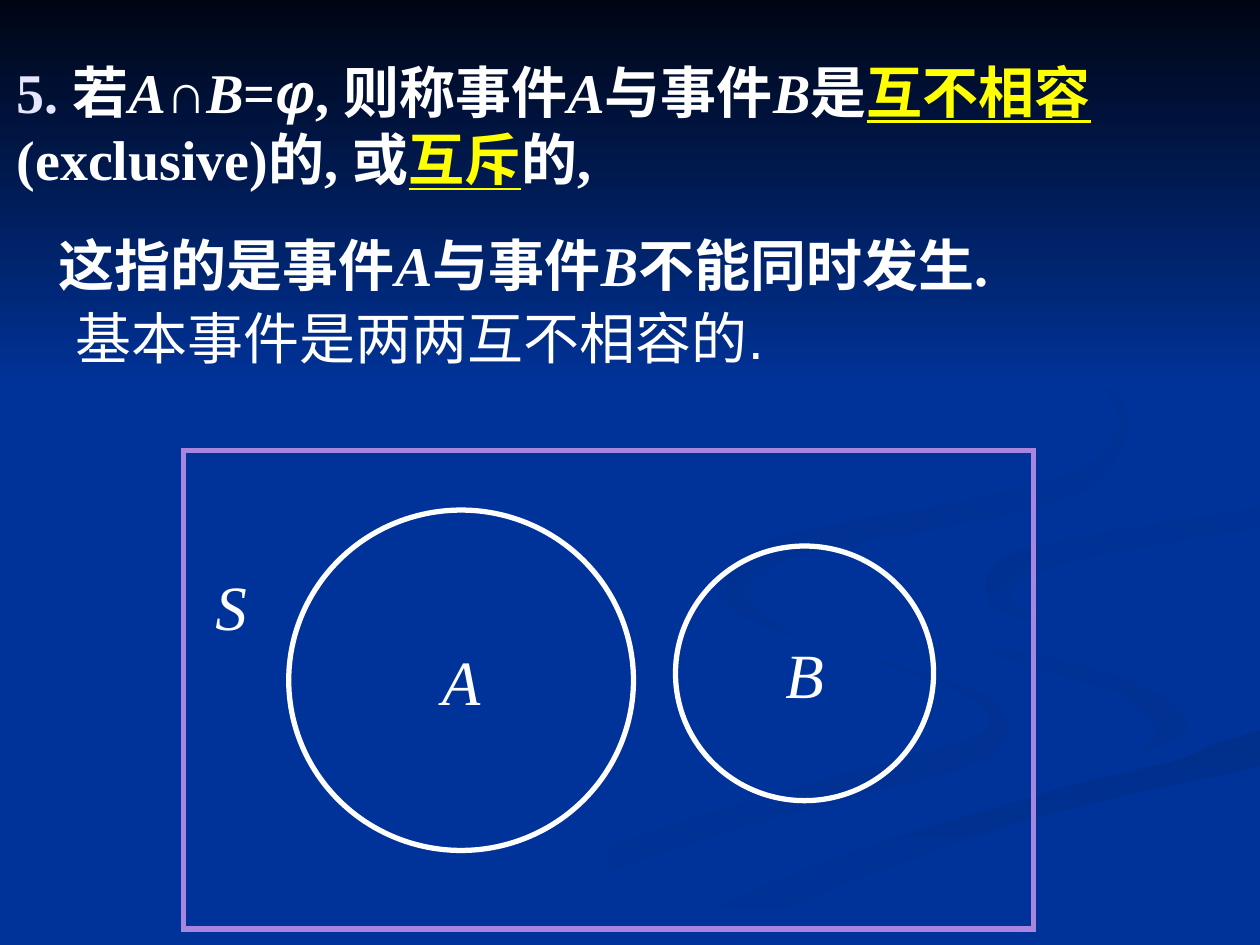
from itertools import pairwise
from math import hypot

from lxml.etree import SubElement
from pptx import Presentation
from pptx.dml.color import RGBColor
from pptx.enum.shapes import MSO_SHAPE as Preset
from pptx.enum.text import MSO_ANCHOR as Anchor, MSO_AUTO_SIZE as AutoSize, PP_ALIGN as Align
from pptx.oxml.ns import qn
from pptx.util import Pt

WIDTH, HEIGHT = 720, 540
CURVE_STEPS = 6
SERIF, SANS = "Times New Roman", "Arial"
COLORS = {
    "background": "003399", "night": "000514", "white": "FFFFFF", "number": "E5E5FF",
    "term": "FFFF00", "frame": "A886E0", "faint": "003193", "deep": "002F8C",
    "soft": "003091", "dark": "002F8E",
}

# Each bend of a ribbon: centre x, centre y, thickness.
RIBBONS = {
    "lower": {
        "shading": ("background", "faint", 0),
        "bends": [(238, 539, 20), (315, 503, 15), (405, 472, 14), (485, 449, 14),
                  (553, 430, 14), (571, 414, 10), (554, 396, 4), (491, 374, 1),
                  (440, 358, 3), (414, 341, 6), (414, 330, 0)],
    },
    "right": {
        "shading": ("background", "faint", 45),
        "bends": [(644, 436, 0), (663, 425, 12), (670, 415, 18), (647, 393, 13),
                  (608, 382, 9), (554, 366, 8), (528, 350, 3), (521, 334, 0)],
    },
    "bottom": {
        "shading": ("deep", "background", 90),
        "bends": [(724, 427, 20), (598, 459, 13), (501, 490, 15), (431, 518, 18),
                  (387, 540, 26)],
    },
    "gap": {
        "shading": ("background", "background", 0),
        "bends": [(724, 284, 11), (626, 299, 11), (559, 318, 20), (542, 334, 38),
                  (560, 353, 28), (625, 374, 14), (690, 398, 26), (681, 424, 14),
                  (616, 445, 5), (499, 478, 8), (411, 512, 9), (353, 540, 14)],
    },
    "edge": {
        "shading": ("soft", "background", 45),
        "bends": [(724, 295, 12), (623, 312, 12), (578, 326, 17), (571, 339, 15),
                  (575, 346, 10), (595, 357, 0)],
    },
    "upper": {
        "shading": ("dark", "background", 45),
        "bends": [(549, 168, 0), (609, 199, 2), (636, 225, 5), (642, 247, 6),
                  (625, 269, 10), (606, 279, 12), (550, 293, 13), (489, 304, 12),
                  (443, 315, 13), (421, 334, 12), (428, 347, 6), (448, 360, 0)],
    },
}

BODY = {"size": Pt(32), "name": SERIF, "bold": True}
REMARK = {"size": Pt(32), "name": SANS}
LABEL = {"size": Pt(36), "name": SERIF, "italic": True}
VARIABLE = {"italic": True}
TERM = {"underline": True, "color": "term"}
RAISED = {"word_wrap": True, "vertical_anchor": Anchor.MIDDLE, "margin_bottom": Pt(41)}
FITTED = {"word_wrap": False, "auto_size": AutoSize.SHAPE_TO_FIT_TEXT}
CENTERED = {"word_wrap": False, "vertical_anchor": Anchor.MIDDLE}

DEFINITION = [
    ("5. ", {"color": "number"}), ("若", {}), ("A", VARIABLE), ("∩", {}), ("B", VARIABLE),
    ("=", {}), ("φ", {"name": SANS, "italic": True}), (", 则称事件", {}), ("A", VARIABLE),
    ("与事件", {}), ("B", VARIABLE), ("是", {}), ("互不相容", TERM),
    ("(exclusive)的, 或", {}), ("互斥", TERM), ("的, ", {}),
]
MEANING = [
    ("这指的是事件", {}), ("A", VARIABLE), ("与事件", {}), ("B", VARIABLE), ("不能同时发生.", {}),
]
EVENTS = {"A": (165, 291.5, 197, 194.5), "B": (386, 312, 147.5, 145.5)}


def rgb(name):
    return RGBColor.from_string(COLORS[name])


def apply_format(target, values):
    for name, value in values.items():
        setattr(target, name, value)


def blend(before, start, end, after, t):
    return start + t / 2 * (
        end - before
        + t * (2 * before - 5 * start + 4 * end - after)
        + t * t * (3 * (start - end) + after - before)
    )


def smooth(bends):
    padded = [bends[0], *bends, bends[-1]]
    curve = []
    for window in zip(padded, padded[1:], padded[2:], padded[3:]):
        for step in range(CURVE_STEPS):
            t = step / CURVE_STEPS
            curve.append(tuple(blend(*values, t) for values in zip(*window)))
    return [*curve, bends[-1]]


def ribbon_outline(bends):
    curve = smooth(bends)
    directions = [(end[0] - start[0], end[1] - start[1]) for start, end in pairwise(curve)]
    directions.append(directions[-1])
    sides = {1: [], -1: []}
    for (x, y, thickness), (dx, dy) in zip(curve, directions):
        offset = max(thickness, 0) / 2 / hypot(dx, dy)
        for sign, side in sides.items():
            side.append((min(x - sign * dy * offset, WIDTH),
                         min(y + sign * dx * offset, HEIGHT)))
    return sides[1] + sides[-1][::-1]


def shade(shape, start, end, angle):
    shape.shadow.inherit = False
    shape.line.fill.background()
    shape.fill.gradient()
    shape.fill.gradient_angle = (360 - angle) % 360
    for stop, color in zip(shape.fill.gradient_stops, (start, end)):
        stop.color.rgb = rgb(color)


def add_ribbon(slide, bends, shading):
    first, *others = ribbon_outline(bends)
    builder = slide.shapes.build_freeform(*first, scale=Pt(1))
    builder.add_line_segments(others, close=True)
    shade(builder.convert_to_shape(), *shading)


def add_sky(slide):
    sky = slide.shapes.add_shape(Preset.RECTANGLE, 0, 0, Pt(WIDTH), Pt(222))
    shade(sky, "night", "background", 90)


def add_runs(shape, runs, base, frame_format, align=Align.LEFT):
    frame = shape.text_frame
    apply_format(frame, frame_format)
    paragraph = frame.paragraphs[0]
    paragraph.alignment = align
    for text, changes in runs:
        values = {"color": "white", **base, **changes}
        run = paragraph.add_run()
        run.text = text
        run.font.color.rgb = rgb(values.pop("color"))
        apply_format(run.font, values)


def add_text(slide, box, *content):
    add_runs(slide.shapes.add_textbox(*map(Pt, box)), *content)


def add_outline(slide, preset, box, color):
    shape = slide.shapes.add_shape(preset, *map(Pt, box))
    shape.shadow.inherit = False
    shape.fill.background()
    shape.line.color.rgb = rgb(color)
    shape.line.width = Pt(3)
    SubElement(shape.element.spPr.find(qn("a:ln")), qn("a:miter"), lim="800000")
    return shape


def add_venn_diagram(slide):
    add_outline(slide, Preset.RECTANGLE, (105, 257.5, 485.5, 273.5), "frame")
    add_text(slide, (116, 320.5, 32, 50.5), [("S", {})], LABEL, FITTED, Align.CENTER)
    for name, box in EVENTS.items():
        circle = add_outline(slide, Preset.OVAL, box, "white")
        add_runs(circle, [(name, {})], LABEL, CENTERED, Align.CENTER)


def main():
    presentation = Presentation()
    presentation.slide_width, presentation.slide_height = Pt(WIDTH), Pt(HEIGHT)
    slide = presentation.slides.add_slide(presentation.slide_layouts[6])
    slide.background.fill.solid()
    slide.background.fill.fore_color.rgb = rgb("background")

    for ribbon in RIBBONS.values():
        add_ribbon(slide, **ribbon)
    add_sky(slide)
    add_text(slide, (2.4, -33, 720, 246), DEFINITION, BODY, RAISED)
    add_venn_diagram(slide)
    add_text(slide, (36, 170, 407.5, 45.5), [("基本事件是两两互不相容的.", {})], REMARK, FITTED)
    add_text(slide, (26.5, 94.5, 669, 150.5), MEANING, BODY, RAISED)

    presentation.save("out.pptx")


if __name__ == "__main__":
    main()
